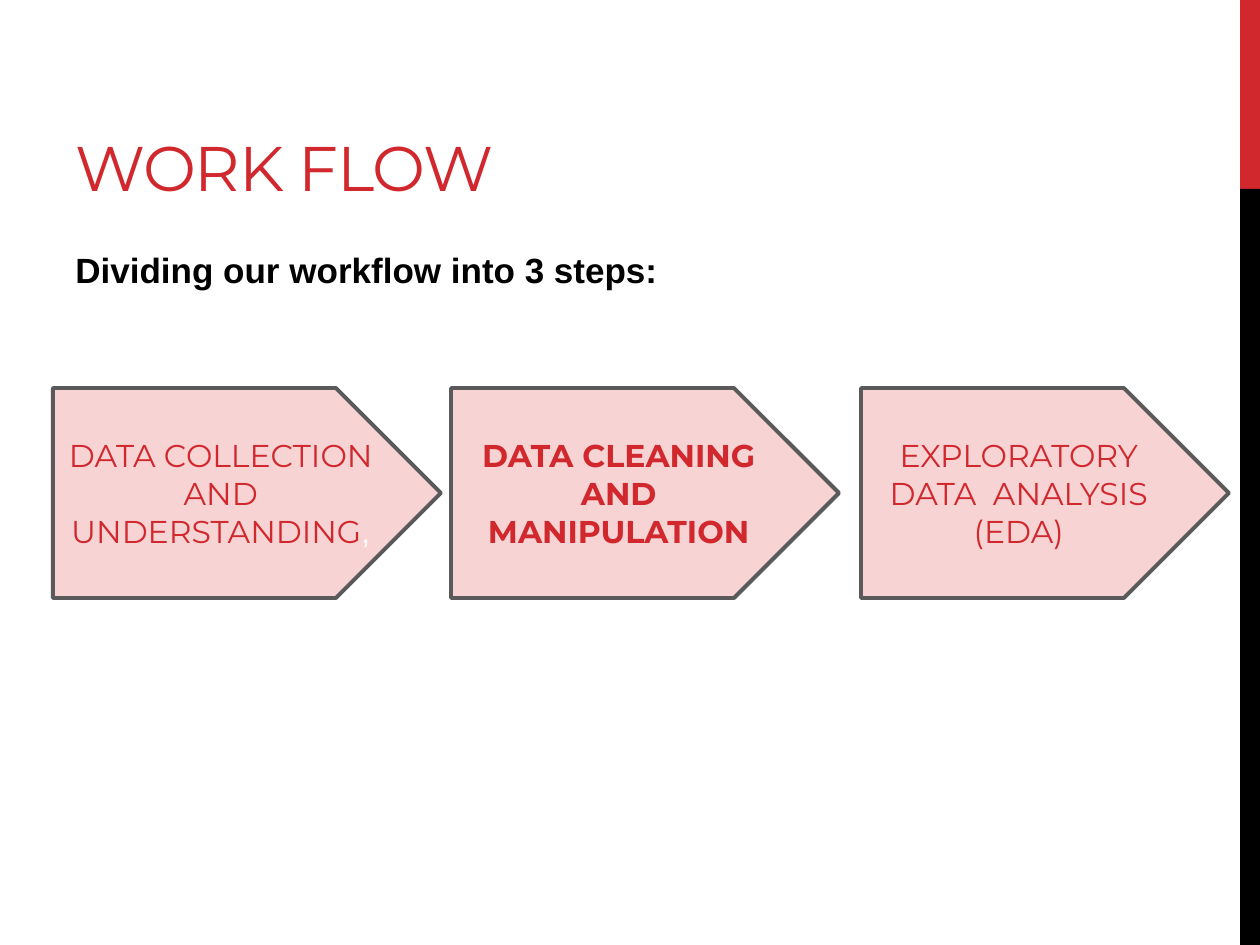
from pptx import Presentation
from pptx.dml.color import RGBColor
from pptx.enum.shapes import MSO_SHAPE
from pptx.enum.text import MSO_ANCHOR, PP_ALIGN
from pptx.util import Emu, Pt

SCALE = 914400 / 126  # EMU in one px
RED = RGBColor(0xD1, 0x28, 0x2E)
PINK = RGBColor(0xF7, 0xD3, 0xD4)
GREY = RGBColor(0x5A, 0x5A, 0x5A)
BLACK = RGBColor(0, 0, 0)
WHITE = RGBColor(255, 255, 255)

# Left, width, text and weight of each step
STEPS = [
    (53, 388, "DATA COLLECTION AND UNDERSTANDING", False),
    (451, 388, "DATA CLEANING AND MANIPULATION", True),
    (861, 368, "EXPLORATORY DATA  ANALYSIS\n(EDA)", False),
]


def px(num):
    return Emu(round(num * SCALE))


def style(run, size, name, color, bold=False):
    font = run.font
    font.size, font.name, font.bold = Pt(size), name, bold
    font.color.rgb = color


def add_shape(slide, kind, box, fill):
    shape = slide.shapes.add_shape(kind, *map(px, box))
    shape.shadow.inherit = False
    shape.fill.solid()
    shape.fill.fore_color.rgb = fill
    return shape


def add_bar(slide, box, fill):
    add_shape(slide, MSO_SHAPE.RECTANGLE, box, fill).line.fill.background()


def set_title(slide, text):
    title = slide.shapes.title
    title.left, title.top, title.width, title.height = map(px, (63, 21, 798, 189))
    frame = title.text_frame
    frame.text = text
    frame.vertical_anchor = MSO_ANCHOR.BOTTOM
    para = frame.paragraphs[0]
    para.alignment = PP_ALIGN.LEFT
    run = para.runs[0]
    style(run, 36, "Montserrat", RED)
    run.font._element.set("spc", "-60")


def add_lead(slide, text):
    frame = slide.shapes.add_textbox(*map(px, (63, 242, 1050, 602))).text_frame
    frame.word_wrap = True
    frame.text = text
    para = frame.paragraphs[0]
    para.space_before, para.space_after = Pt(2), Pt(6)
    style(para.runs[0], 20, "Arial", BLACK, True)


def add_step(slide, left, width, text, bold):
    shape = add_shape(slide, MSO_SHAPE.PENTAGON, (left, 388, width, 210), PINK)
    shape.line.color.rgb = GREY
    shape.line.width = Pt(2.25)
    frame = shape.text_frame
    frame.word_wrap = True
    frame.vertical_anchor = MSO_ANCHOR.MIDDLE
    frame.text = text
    for para in frame.paragraphs:
        para.alignment = PP_ALIGN.CENTER
        style(para.runs[0], 18, "Montserrat", RED, bold)
    return shape


def main():
    deck = Presentation()
    deck.slide_width, deck.slide_height = px(1260), px(945)
    slide = deck.slides.add_slide(deck.slide_layouts[5])

    # Side band
    add_bar(slide, (1240, 0, 20, 189), RED)
    add_bar(slide, (1240, 189, 20, 756), BLACK)

    # Heading and lead line
    set_title(slide, "WORK FLOW")
    add_lead(slide, "Dividing our workflow into 3 steps:")

    # Steps, the first with a white comma at its end
    first, *_ = [add_step(slide, *step) for step in STEPS]
    comma = first.text_frame.paragraphs[0].add_run()
    comma.text = ","
    style(comma, 18, "Arial", WHITE)

    deck.save("out.pptx")


if __name__ == "__main__":
    main()
